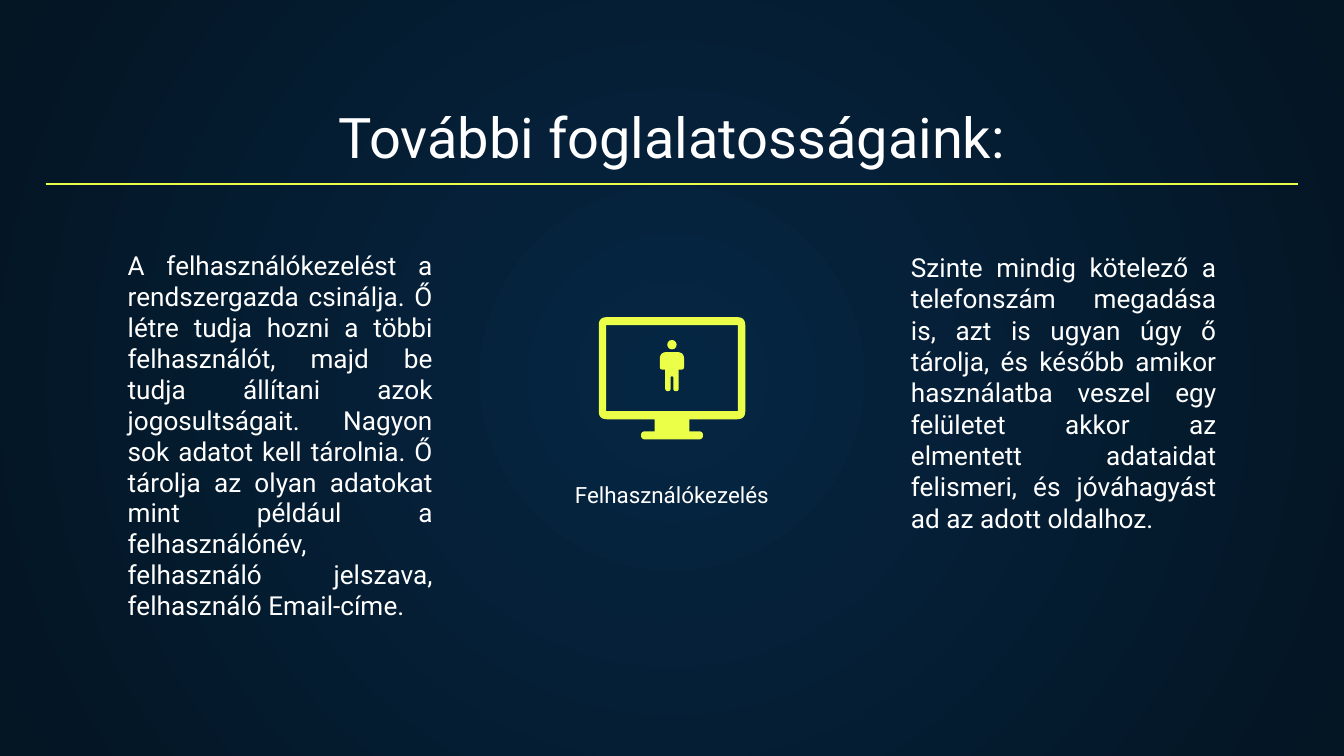
import dataclasses

import lxml.etree
import pptx
import pptx.dml.color
import pptx.enum.shapes
import pptx.enum.text
import pptx.oxml
import pptx.oxml.ns
import pptx.util

COLUMNS, ROWS = 100, 56.25
UNIT = pptx.util.Inches(0.1)
ALIGN = pptx.enum.text.PP_ALIGN
ANCHOR = pptx.enum.text.MSO_ANCHOR


@dataclasses.dataclass(frozen=True)
class Theme:
    font: str = "Roboto"
    text: str = "FFFFFF"
    accent: str = "ECFF48"
    center: str = "052643"
    edge: str = "041523"
    title_size: int = 30
    body_size: int = 14
    label_size: int = 12
    rule_width: float = 0.75


THEME = Theme()


@dataclasses.dataclass(frozen=True)
class Box:
    left: float
    top: float
    width: float
    height: float

    def inner(self, left, top, width, height):
        return Box(self.left + left, self.top + top, width, height)

    def place(self):
        return [int(UNIT * n) for n in (self.left, self.top, self.width, self.height)]


def color(value):
    return pptx.dml.color.RGBColor.from_string(value)


def write(frame, text, size=THEME.body_size, align=ALIGN.JUSTIFY):
    frame.word_wrap = True
    para = frame.paragraphs[0]
    para.alignment = align
    span = para.add_run()
    span.text = text
    span.font.name = THEME.font
    span.font.size = pptx.util.Pt(size)
    span.font.color.rgb = color(THEME.text)


def add_text(page, box, text, anchor=ANCHOR.TOP, inset=0.05, **style):
    frame = page.shapes.add_textbox(*box.place()).text_frame
    frame.vertical_anchor = anchor
    frame.margin_top = frame.margin_bottom = pptx.util.Inches(inset)
    write(frame, text, **style)
    return frame


def toward(start, end, distance):
    dx, dy = end[0] - start[0], end[1] - start[1]
    share = distance / (dx * dx + dy * dy) ** 0.5
    return start[0] + dx * share, start[1] + dy * share


def round_corners(corners, steps=6):
    points = []
    for index, (x, y, radius) in enumerate(corners):
        if not radius:
            points.append((x, y))
            continue
        first = toward((x, y), corners[index - 1], radius)
        last = toward((x, y), corners[(index + 1) % len(corners)], radius)
        for step in range(steps + 1):
            t = step / steps
            points.append(tuple(
                (1 - t) ** 2 * a + 2 * t * (1 - t) * b + t * t * c
                for a, b, c in zip(first, (x, y), last)
            ))
    return points


def paint(shape):
    shape.shadow.inherit = False
    shape.fill.solid()
    shape.fill.fore_color.rgb = color(THEME.accent)
    shape.line.fill.background()


def add_outline(shapes, box, *contours):
    left, top, _, _ = box.place()
    builder = None
    for corners in contours:
        points = [(x * UNIT, y * UNIT) for x, y in round_corners(corners)]
        if builder is None:
            builder = shapes.build_freeform(*points[0])
        else:
            builder.move_to(*points[0])
        builder.add_line_segments(points[1:], close=True)
    paint(builder.convert_to_shape(left, top))


def mirror(half, width):
    return half + [(width - x, y, radius) for x, y, radius in reversed(half)]


def draw_background(page):
    fill = page.background.fill
    fill.gradient()
    for stop, value in zip(fill.gradient_stops, (THEME.center, THEME.edge)):
        stop.color.rgb = color(value)
    gradient = page.background._cSld.find(".//" + pptx.oxml.ns.qn("a:gradFill"))
    gradient.remove(gradient.find(pptx.oxml.ns.qn("a:lin")))
    radial = lxml.etree.SubElement(gradient, pptx.oxml.ns.qn("a:path"), path="circle")
    sides = dict.fromkeys("ltrb", "50000")
    lxml.etree.SubElement(radial, pptx.oxml.ns.qn("a:fillToRect"), **sides)


def draw_header(page, box, text):
    add_text(page, box.inner(0, 0, box.width, 6.6), text, anchor=ANCHOR.BOTTOM,
             inset=0.1, size=THEME.title_size, align=ALIGN.CENTER)
    left, bottom, width, _ = box.inner(0, box.height, box.width, 0).place()
    rule = page.shapes.add_connector(
        pptx.enum.shapes.MSO_CONNECTOR.STRAIGHT, left, bottom, left + width, bottom)
    rule.line.color.rgb = color(THEME.accent)
    rule.line.width = pptx.util.Pt(THEME.rule_width)
    lxml.etree.SubElement(rule._element.spPr, pptx.oxml.ns.qn("a:effectLst"))


def draw_table(page, box, text):
    table = page.shapes.add_table(1, 1, *box.place()).table
    table.first_row = table.horz_banding = False
    cell = table.cell(0, 0)
    cell.vertical_anchor = ANCHOR.TOP
    write(cell.text_frame, text)
    properties = cell._tc.get_or_add_tcPr()
    for side in "LRTB":
        border = lxml.etree.SubElement(properties, pptx.oxml.ns.qn("a:ln" + side))
        lxml.etree.SubElement(border, pptx.oxml.ns.qn("a:noFill"))
    cell.fill.background()


def draw_monitor(page, box):
    case = mirror([(0, 0, 0.6), (0, 7.6, 0.6), (4.15, 7.6, 0),
                   (4.15, 8.5, 0), (3.15, 8.5, 0.3), (3.15, 9.1, 0.3)], box.width)
    screen = mirror([(0.55, 0.6, 0), (0.55, 7, 0)], box.width)
    add_outline(page.shapes, box, case, screen)


def draw_person(page, box):
    person = page.shapes.add_group_shape()
    head = box.inner((box.width - 0.7) / 2, 0, 0.7, 0.7)
    paint(person.shapes.add_shape(pptx.enum.shapes.MSO_SHAPE.OVAL, *head.place()))
    body = mirror([(0.8, 1.8, 0.1), (0.8, 2.9, 0.2), (0.4, 2.9, 0.2),
                   (0.4, 1.3, 0), (0, 1.3, 0.2), (0, 0, 0.5)], box.width)
    add_outline(person.shapes, box.inner(0, 0.9, box.width, 2.9), body)


def draw_topic(page, box, text):
    draw_monitor(page, box.inner((box.width - 10.9) / 2, 0, 10.9, 9.1))
    draw_person(page, box.inner((box.width - 1.8) / 2, 1.7, 1.8, 3.8))
    add_text(page, box.inner(0, 11.3, box.width, 3.9), text, anchor=ANCHOR.BOTTOM,
             inset=0.1, size=THEME.label_size, align=ALIGN.CENTER)


def draw_note(page, box, text):
    frame = add_text(page, box, text)
    frame.auto_size = pptx.enum.text.MSO_AUTO_SIZE.SHAPE_TO_FIT_TEXT


def main():
    deck = pptx.Presentation()
    deck.slide_width, deck.slide_height = int(COLUMNS * UNIT), int(ROWS * UNIT)
    page = deck.slides.add_slide(deck.slide_layouts[6])
    margin, indent, column = 3.4, 8.5, 24.7
    draw_background(page)
    draw_header(page, Box(margin, 7, COLUMNS - 2 * margin, 6.7),
                "További foglalatosságaink:")
    draw_topic(page, Box((COLUMNS - 22.7) / 2, 23.6, 22.7, 15.2), "Felhasználókezelés")
    draw_table(page, Box(indent, 18.2, column, 28.9),
               "A felhasználókezelést a rendszergazda csinálja. Ő létre tudja hozni a "
               "többi felhasználót, majd be tudja állítani azok jogosultságait. Nagyon "
               "sok adatot kell tárolnia. Ő tárolja az olyan adatokat mint például a "
               "felhasználónév, felhasználó jelszava, felhasználó Email-címe.")
    draw_note(page, Box(COLUMNS - indent - column, 18.2, column, 22.2),
              "Szinte mindig kötelező a telefonszám megadása is, azt is ugyan úgy ő "
              "tárolja, és később amikor használatba veszel egy felületet akkor az "
              "elmentett adataidat felismeri, és jóváhagyást ad az adott oldalhoz.")
    deck.save("out.pptx")


if __name__ == "__main__":
    main()
